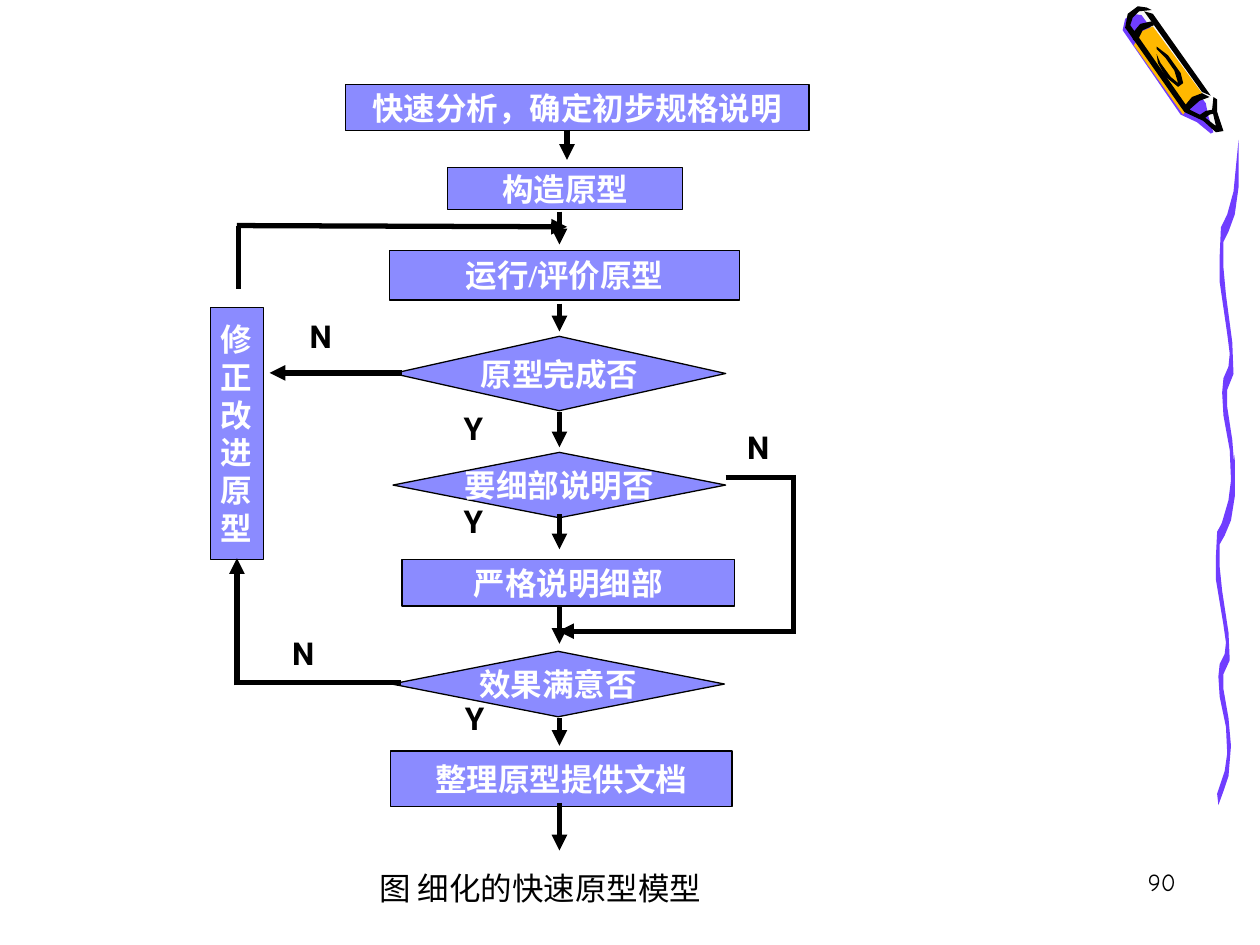
from dataclasses import dataclass
from math import cos, radians, sin

from lxml import etree
from pptx import Presentation, util as u
from pptx.dml.color import RGBColor
from pptx.enum import shapes as sh, text as tx
from pptx.oxml import ns

Pt = u.Pt
BLACK = RGBColor(0, 0, 0)
WHITE = RGBColor(255, 255, 255)
LILAC = RGBColor(0x8B, 0x8B, 0xFF)
PURPLE = RGBColor(0x70, 0x3D, 0xFF)
AMBER = RGBColor(0xFF, 0xB8, 0x00)
PALE = RGBColor(0xF8, 0xF8, 0xF8)
SERIF, SANS, COMIC, CJK = "Times New Roman", "Roboto", "Comic Neue", "Noto Sans CJK SC"
STEP = sh.MSO_SHAPE.FLOWCHART_PROCESS
TEST = sh.MSO_SHAPE.FLOWCHART_DECISION
RECT = sh.MSO_SHAPE.RECTANGLE
UNIT = 0.72
TILT = 32
AXIS = 319.7


@dataclass
class Node:
    text: str
    left: float
    top: float
    width: float
    height: float
    kind: sh.MSO_SHAPE = STEP


@dataclass
class Line:
    x1: float
    y1: float
    x2: float
    y2: float
    arrow: bool = True


@dataclass
class Label:
    text: str
    left: float
    top: float
    width: float = 34.6
    height: float = 28.8


@dataclass
class Patch:
    color: RGBColor
    points: str


WAVE = (
    "966,630 972,612 974,598 973,577 968,553 967,537 968,527 972,519 973,510 971,496 "
    "965,460 965,442 966,422 971,413 976,397 980,361 980,394 977,413 972,425 968,432 "
    "968,450 970,469 975,502 976,524 971,535 971,547 975,570 977,592 975,616 971,628 967,639"
)
CRAYON = [
    Patch(PALE, "968,100 963,86 953,64 911,7 904,6 897,11 896,20 941,86 956,93 966,102"),
    Patch(PURPLE, "906,12 957,82 959,92 963,105 961,106 950,97 937,91 891,24 893,15 899,11"),
    Patch(AMBER, "900,36 939,91 947,80 957,78 915,21 906,25"),
    Patch(BLACK, "963,87 957,88 951,92 956,94 960,91 964,90"),
    Patch(BLACK, "910,6 903,5 895,11 893,22 940,89 955,96 965,105 971,104 966,89 966,79 "
                 "963,77 962,87 965,100 956,93 944,87 952,80 960,77 954,74 946,77 941,83 "
                 "897,20 899,14 904,9 914,8"),
    Patch(BLACK, "915,11 961,76 954,73 908,9"),
    Patch(BLACK, "914,17 905,19 900,25 899,31 902,34 907,24 916,20"),
    Patch(BLACK, "918,39 925,46 932,56 935,66 929,61 921,50 918,43 919,50 925,61 935,69 "
                 "939,66 937,58 927,44 918,37"),
]
NODES = [
    Node("快速分析，确定初步规格说明", 197.3, 48.2, 265, 26.6),
    Node("构造原型", 255.6, 95.8, 134.6, 23.8),
    Node("运行/评价原型", 222.5, 143.3, 200.2, 28.1),
    Node("原型完成否", 224.6, 192.2, 190.1, 42.5, TEST),
    Node("要细部说明否", 224.6, 258.5, 190.1, 37.4, TEST),
    Node("严格说明细部", 229.7, 319.7, 190.1, 26.6),
    Node("效果满意否", 223.9, 372.2, 190.1, 37.4, TEST),
    Node("整理原型提供文档", 223.2, 429.1, 195.1, 31.7, RECT),
    Node("\n".join("修正改进原型"), 120.2, 175.7, 30.2, 144),
]
DROPS = [(121, 139.7), (173.5, 189.4), (235.4, 255.6), (293.8, 313.9),
         (346.3, 367.9), (410.4, 426.2), (458.6, 486)]
LINES = [Line(AXIS, top, AXIS, end) for top, end in DROPS] + [
    Line(324, 74.2, 324, 91.4),
    Line(229.7, 213.1, 154.1, 213.1),
    Line(136.1, 164.9, 136.1, 128.9, False),
    Line(135.4, 128.9, 324, 129.6),
    Line(414.7, 272.9, 455, 272.9, False),
    Line(453.6, 271.4, 453.6, 362.2, False),
    Line(453.6, 360.7, 319, 360.7),
    Line(229, 390.2, 134.6, 390.2, False),
    Line(135.4, 391.7, 135.4, 319),
]
LABELS = [
    Label("N", 169.9, 176.4, height=31.7),
    Label("Y", 257.8, 230.4),
    Label("N", 419.8, 239.8, 30.2, 31.7),
    Label("Y", 257.8, 283, 39.6),
    Label("N", 159.8, 357.1, height=31.7),
    Label("Y", 258.5, 396),
]


def write(shape, words: str, *, font=SERIF, size=18, color=BLACK, bold=False,
          align=tx.PP_ALIGN.LEFT, anchor=tx.MSO_ANCHOR.MIDDLE, wrap=False) -> None:
    frame = shape.text_frame
    frame.word_wrap = wrap
    frame.auto_size = tx.MSO_AUTO_SIZE.NONE
    frame.vertical_anchor = anchor
    for i, part in enumerate(words.split("\n")):
        para = frame.add_paragraph() if i else frame.paragraphs[0]
        para.alignment = align
        run = para.add_run()
        run.text = part
        run.font.size, run.font.bold, run.font.name = Pt(size), bold, font
        run.font.color.rgb = color
        etree.SubElement(run.font._element, ns.qn("a:ea"), typeface=CJK)


def parse_points(words: str) -> list[tuple[float, float]]:
    return [tuple(int(n) * UNIT for n in pair.split(",")) for pair in words.split()]


def turn(x: float, y: float, angle: float) -> tuple[float, float]:
    c, s = cos(radians(angle)), sin(radians(angle))
    return x * c - y * s, x * s + y * c


def fill_path(slide, points: list[tuple[float, float]], color: RGBColor, angle=0) -> None:
    flat = [turn(x, y, -angle) for x, y in points]
    xs, ys = zip(*flat)
    mid = (min(xs) + max(xs)) / 2, (min(ys) + max(ys)) / 2
    real = turn(*mid, angle)
    spots = [(Pt(x + real[0] - mid[0]), Pt(y + real[1] - mid[1])) for x, y in flat]
    pen = slide.shapes.build_freeform(*spots[0])
    pen.add_line_segments(spots[1:], close=True)
    shape = pen.convert_to_shape()
    shape.rotation = angle
    shape.shadow.inherit = False
    shape.fill.solid()
    shape.fill.fore_color.rgb = color
    shape.line.fill.background()


def draw_node(slide, node: Node) -> None:
    shape = slide.shapes.add_shape(
        node.kind, Pt(node.left), Pt(node.top), Pt(node.width), Pt(node.height))
    shape.shadow.inherit = False
    shape.fill.solid()
    shape.fill.fore_color.rgb = LILAC
    shape.line.color.rgb = BLACK
    shape.line.width = Pt(0.75)
    write(shape, node.text, color=WHITE, bold=True, align=tx.PP_ALIGN.CENTER)


def draw_line(slide, line: Line) -> None:
    link = slide.shapes.add_connector(
        sh.MSO_CONNECTOR.STRAIGHT, Pt(line.x1), Pt(line.y1), Pt(line.x2), Pt(line.y2))
    link.line.color.rgb = BLACK
    link.line.width = Pt(3)
    if line.arrow:
        etree.SubElement(link.line._get_or_add_ln(), ns.qn("a:tailEnd"), type="triangle")
    etree.SubElement(link._element.spPr, ns.qn("a:effectLst"))


def draw_label(slide, label: Label, **style) -> None:
    box = slide.shapes.add_textbox(
        Pt(label.left), Pt(label.top), Pt(label.width), Pt(label.height))
    write(box, label.text, **style)


def main() -> None:
    deck = Presentation()
    deck.slide_width, deck.slide_height = Pt(720), Pt(540)
    slide = deck.slides.add_slide(deck.slide_layouts[5])
    wave = parse_points(WAVE)
    fill_path(slide, wave, PURPLE)
    fill_path(slide, [(x + 2.16, 79.92 + (y - 259.92) * 1.14) for x, y in wave], PURPLE)
    for patch in CRAYON:
        fill_path(slide, parse_points(patch.points), patch.color, TILT)
    for node in NODES:
        draw_node(slide, node)
    for line in LINES:
        draw_line(slide, line)
    for label in LABELS:
        draw_label(slide, label, font=SANS, bold=True)
    draw_label(slide, Label("90", 529.2, 491.8, 149.8, 36), font=COMIC, size=14,
               align=tx.PP_ALIGN.RIGHT, anchor=tx.MSO_ANCHOR.TOP, wrap=True)
    title = slide.shapes.title
    title.left, title.top, title.width, title.height = Pt(209.5), Pt(493.9), Pt(238.3), Pt(28.1)
    write(title, "图 细化的快速原型模型", font=CJK, anchor=tx.MSO_ANCHOR.BOTTOM, wrap=True)
    deck.save("out.pptx")


if __name__ == "__main__":
    main()
